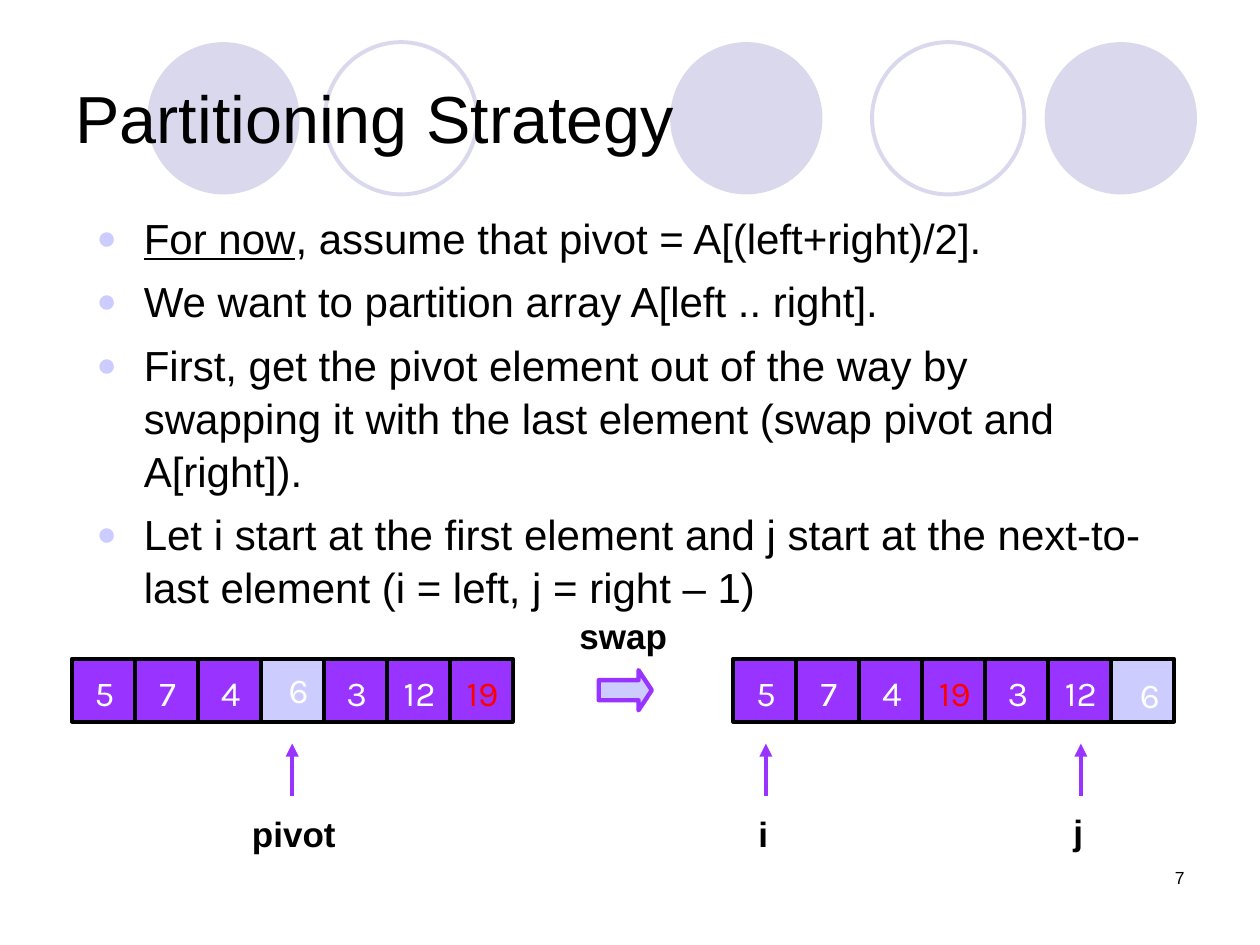
from dataclasses import dataclass

from lxml import etree
from pptx import Presentation, util as u
from pptx.dml.color import RGBColor
from pptx.enum import shapes, text
from pptx.oxml import ns

PURPLE, LILAC, PALE = "9933FF", "CCCCFF", "D9D8EC"
BLACK, WHITE, RED = "000000", "FFFFFF", "FF0000"
CELL = 1.27


@dataclass
class Run:
    text: str
    size: float = 20
    color: str = BLACK
    font: str = "Arial"
    bold: bool = False
    underline: bool = False


@dataclass
class Box:
    """Position and size in centimetres."""
    left: float
    top: float
    width: float
    height: float

    def lengths(self):
        return [u.Cm(v) for v in (self.left, self.top, self.width, self.height)]


@dataclass
class Cell:
    value: str
    fill: str = PURPLE
    color: str = WHITE
    shift_x: float = 0
    shift_y: float = 0


@dataclass
class Pointer:
    label: str
    x: float
    box: Box


def rgb(color: str) -> RGBColor:
    return RGBColor.from_string(color)


def add_run(paragraph, item: Run) -> None:
    run = paragraph.add_run()
    run.text = item.text
    font = run.font
    font.size, font.name = u.Pt(item.size), item.font
    font.bold, font.underline = item.bold, item.underline
    font.color.rgb = rgb(item.color)


def add_text(slide, box: Box, item: Run, align=text.PP_ALIGN.LEFT,
             anchor=text.MSO_ANCHOR.TOP, wrap: bool = True) -> None:
    frame = slide.shapes.add_textbox(*box.lengths()).text_frame
    frame.word_wrap, frame.vertical_anchor = wrap, anchor
    frame.paragraphs[0].alignment = align
    add_run(frame.paragraphs[0], item)


def add_figure(slide, kind, box: Box, fill: str = "", line: str = "", weight: float = 2.25):
    """Add a preset shape; an empty fill or line colour means none."""
    shape = slide.shapes.add_shape(kind, *box.lengths())
    shape.shadow.inherit = False
    if fill:
        shape.fill.solid()
        shape.fill.fore_color.rgb = rgb(fill)
    else:
        shape.fill.background()
    if line:
        shape.line.color.rgb = rgb(line)
        shape.line.width = u.Pt(weight)
    else:
        shape.line.fill.background()
    return shape


def add_bullets(slide, box: Box, items: list[list[Run]]) -> None:
    frame = slide.shapes.add_textbox(*box.lengths()).text_frame
    frame.word_wrap = True
    for index, runs in enumerate(items):
        paragraph = frame.add_paragraph() if index else frame.paragraphs[0]
        properties = paragraph._p.get_or_add_pPr()
        properties.set("marL", str(u.Cm(0.95)))
        properties.set("indent", str(-u.Cm(0.95)))
        color = etree.SubElement(properties, ns.qn("a:buClr"))
        etree.SubElement(color, ns.qn("a:srgbClr"), val=LILAC)
        etree.SubElement(properties, ns.qn("a:buSzPct"), val="80000")
        etree.SubElement(properties, ns.qn("a:buFont"), typeface="Arial")
        etree.SubElement(properties, ns.qn("a:buChar"), char="●")
        paragraph.line_spacing = 1.05
        if index:
            paragraph.space_before = u.Pt(6)
        for run in runs:
            add_run(paragraph, run)


def add_pointer(slide, pointer: Pointer) -> None:
    """Draw an upward arrow with its label below."""
    arrow = slide.shapes.add_connector(
        shapes.MSO_CONNECTOR.STRAIGHT,
        u.Cm(pointer.x), u.Cm(16.05), u.Cm(pointer.x), u.Cm(14.99))
    arrow.line.color.rgb = rgb(PURPLE)
    arrow.line.width = u.Pt(2.5)
    etree.SubElement(arrow.line._get_or_add_ln(), ns.qn("a:tailEnd"), type="triangle")
    etree.SubElement(arrow._element.spPr, ns.qn("a:effectLst"))
    add_text(slide, pointer.box, Run(pointer.label, bold=True))


def add_array(slide, left: float, cells: list[Cell]) -> None:
    top = 13.28
    for index, cell in enumerate(cells):
        x = left + index * CELL
        add_figure(slide, shapes.MSO_SHAPE.RECTANGLE, Box(x, top, CELL, CELL),
                   cell.fill, BLACK)
        width = 0.91 if len(cell.value) == 1 else 1.32
        label = Box(x + 0.66 - width / 2 + cell.shift_x, top + 0.13 + cell.shift_y, width, 1.12)
        add_text(slide, label, Run(cell.value, color=cell.color, font="Karla"),
                 text.PP_ALIGN.CENTER, wrap=False)


def main() -> None:
    presentation = Presentation()
    presentation.slide_width, presentation.slide_height = u.Cm(25.4), u.Cm(19.05)
    slide = presentation.slides.add_slide(presentation.slide_layouts[6])

    for left, filled in ((13.51, True), (21.06, True), (2.97, True),
                         (17.58, False), (6.55, False)):
        add_figure(slide, shapes.MSO_SHAPE.OVAL, Box(left, 0.85, 3.07, 3.07),
                   PALE if filled else "", "" if filled else PALE)

    add_text(slide, Box(18.21, 17.35, 5.92, 1.27), Run("7", 10), text.PP_ALIGN.RIGHT)
    add_text(slide, Box(1.27, 0.76, 22.86, 3.18), Run("Partitioning Strategy", 38),
             anchor=text.MSO_ANCHOR.MIDDLE)
    add_bullets(slide, Box(1.7, 4.11, 21.79, 8.2), [
        [Run("For now", 24, underline=True),
         Run(", assume that pivot = A[(left+right)/2].", 24)],
        [Run("We want to partition array A[left .. right].", 24)],
        [Run("First, get the pivot element out of the way by swapping it with "
             "the last element (swap pivot and A[right]).", 24)],
        [Run("Let i start at the first element and j start at the next-to-last "
             "element (i = left, j = right – 1)", 24)],
    ])

    for pointer in (Pointer("pivot", 5.89, Box(4.83, 16.26, 2.34, 1.12)),
                    Pointer("i", 15.44, Box(15.04, 16.26, 0.84, 1.12)),
                    Pointer("j", 21.79, Box(21.39, 16.21, 1.07, 1.12))):
        add_pointer(slide, pointer)

    swap_arrow = add_figure(slide, shapes.MSO_SHAPE.RIGHT_ARROW,
                            Box(12.07, 13.51, 1.07, 0.81), LILAC, PURPLE, 2.5)
    swap_arrow.adjustments[0], swap_arrow.adjustments[1] = 0.5, 0.33

    start = [Cell("5"), Cell("7"), Cell("4")]
    middle = [Cell("3"), Cell("12")]
    last = Cell("19", color=RED)
    add_array(slide, 1.45, [*start, Cell("6", LILAC, shift_x=0.1, shift_y=-0.05), *middle, last])
    add_array(slide, 14.78, [*start, last, *middle, Cell("6", LILAC, shift_x=0.12, shift_y=0.05)])
    add_text(slide, Box(11.43, 12.27, 2.74, 1.12), Run("swap", bold=True))

    presentation.save("out.pptx")


if __name__ == "__main__":
    main()
